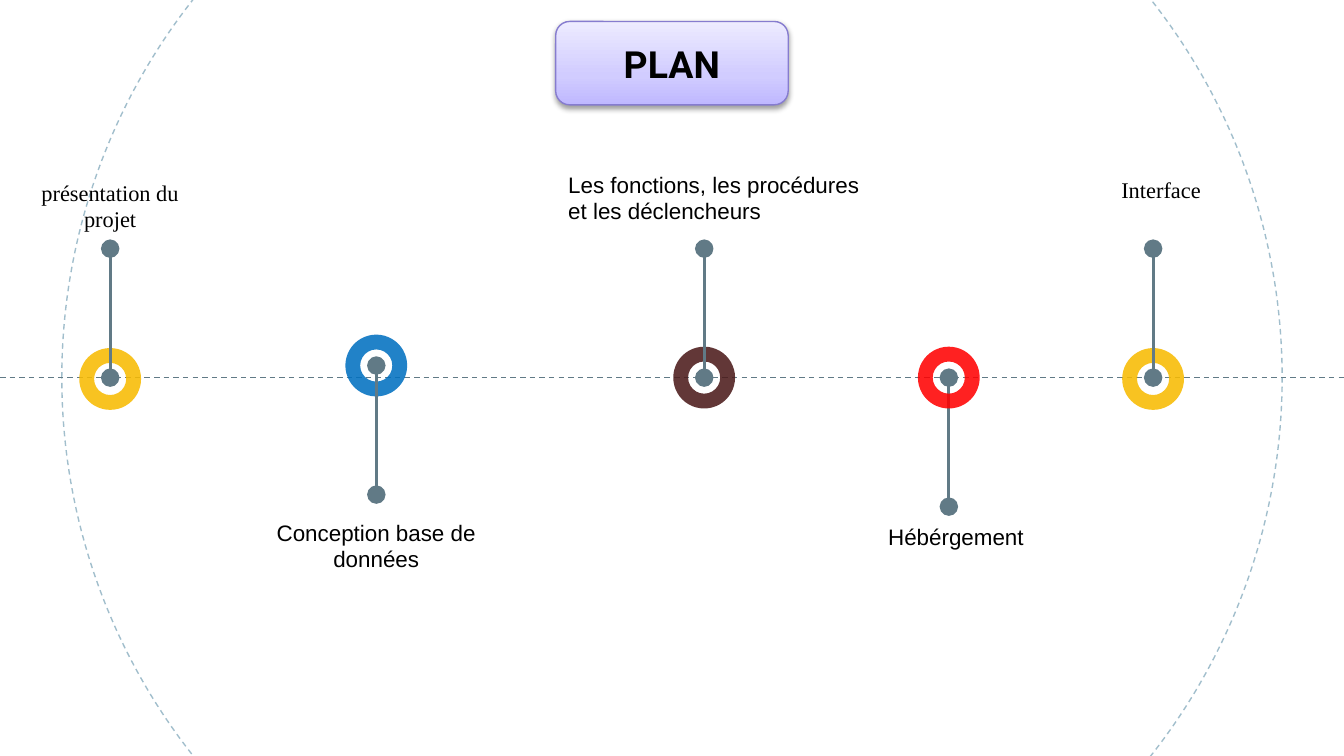
from lxml import etree
from pptx import Presentation
from pptx.dml.color import RGBColor
from pptx.enum.dml import MSO_LINE
from pptx.enum.shapes import MSO_CONNECTOR, MSO_SHAPE
from pptx.enum.text import MSO_ANCHOR, PP_ALIGN
from pptx.oxml.ns import qn
from pptx.util import Inches, Pt

DASH = MSO_LINE.DASH
STRAIGHT = MSO_CONNECTOR.STRAIGHT
OVAL, DONUT, ROUNDED = MSO_SHAPE.OVAL, MSO_SHAPE.DONUT, MSO_SHAPE.ROUNDED_RECTANGLE
LEFT, CENTER = PP_ALIGN.LEFT, PP_ALIGN.CENTER
TOP, MIDDLE = MSO_ANCHOR.TOP, MSO_ANCHOR.MIDDLE

W = 10
H = W * 9 / 16
AXIS = 2.81
RING, STEM = 0.46, 0.96
ORBIT = 9.08
SLATE = "617A86"
SERIF, SANS = "Times New Roman", "Arial"

TITLE = "PLAN"
TITLE_STOPS = [(0, "BFB8FF"), (35, "D1CCFF"), (100, "EDEBFF")]
# direction: -1 stem goes up, 1 stem goes down
STEPS = [
    dict(text="présentation du projet", x=0.82, ring_y=2.82, stem_y=AXIS, direction=-1,
         color="F8BB00", box=(0.19, 1.23, 1.26, 0.48), font=SERIF, align=CENTER),
    dict(text="Conception base de données", x=2.8, ring_y=2.72, stem_y=2.72, direction=1,
         color="0070C0", box=(1.9, 3.76, 1.8, 0.6), font=SANS, align=CENTER),
    dict(text="Les fonctions, les procédures et les déclencheurs", x=5.24, ring_y=AXIS,
         stem_y=AXIS, direction=-1, color="4B1A1A", box=(4.13, 1.17, 2.44, 0.55),
         font=SANS, align=LEFT),
    dict(text="Hébérgement", x=7.06, ring_y=AXIS, stem_y=AXIS, direction=1,
         color="FF0000", box=(6.51, 3.79, 1.32, 0.58), font=SANS, align=LEFT,
         ring_in_front=True),
    dict(text="Interface", x=8.58, ring_y=2.82, stem_y=AXIS, direction=-1,
         color="F8BB00", box=(8.01, 1.21, 1.26, 0.48), font=SERIF, align=CENTER),
]


def rgb(value):
    return RGBColor.from_string(value)


def sub(parent, tag, **attrs):
    """Append a DrawingML element whose attributes are given as keywords."""
    return etree.SubElement(parent, qn("a:" + tag), {k: str(v) for k, v in attrs.items()})


def add_shape(slide, kind, left, top, width, height):
    sp = slide.shapes.add_shape(kind, *map(Inches, (left, top, width, height)))
    sp.shadow.inherit = False
    return sp


def style_line(line, color, width, dash=None):
    line.color.rgb = rgb(color)
    line.width = Pt(width)
    if dash:
        line.dash_style = dash


def add_line(slide, x1, y1, x2, y2, width, dash=None, ends=None):
    cx = slide.shapes.add_connector(STRAIGHT, *map(Inches, (x1, y1, x2, y2)))
    style_line(cx.line, SLATE, width, dash)
    if ends:
        ln = cx.line._get_or_add_ln()
        for tag in ("headEnd", "tailEnd"):
            sub(ln, tag, type=ends, w="lg", len="lg")
    sub(cx._element.spPr, "effectLst")


def write(sp, text, font=SANS, size=12, bold=False, align=LEFT, anchor=TOP):
    tf = sp.text_frame
    tf.word_wrap = True
    tf.vertical_anchor = anchor
    tf.margin_left = tf.margin_right = tf.margin_top = tf.margin_bottom = Inches(0.1)
    p = tf.paragraphs[0]
    p.alignment = align
    r = p.add_run()
    r.text = text
    r.font.name, r.font.size, r.font.bold = font, Pt(size), bold
    r.font.color.rgb = rgb("000000")


def add_ring(slide, x, y, color):
    sp = add_shape(slide, DONUT, x - RING / 2, y - RING / 2, RING, RING)
    sp.adjustments[0] = 0.24
    sp.fill.solid()
    sp.fill.fore_color.rgb = rgb(color)
    sub(sp._element.spPr.find(".//" + qn("a:srgbClr")), "alpha", val=87000)
    sp.line.fill.background()


def add_step(slide, step):
    x, y = step["x"], step["stem_y"]
    stem = (x, y, x, y + step["direction"] * STEM)
    in_front = step.get("ring_in_front", False)
    if not in_front:
        add_ring(slide, x, step["ring_y"], step["color"])
    add_line(slide, *stem, 1.5, ends="oval")
    if in_front:
        add_ring(slide, x, step["ring_y"], step["color"])
    label = slide.shapes.add_textbox(*map(Inches, step["box"]))
    write(label, step["text"], font=step["font"], align=step["align"])


def add_title(slide):
    width, height = 1.73, 0.62
    sp = add_shape(slide, ROUNDED, (W - width) / 2, 0.16, width, height)
    sp.fill.gradient()
    sp.fill.gradient_angle = 90
    spPr = sp._element.spPr
    stops = spPr.find(".//" + qn("a:gsLst"))
    for gs in list(stops):
        stops.remove(gs)
    for pos, color in TITLE_STOPS:
        sub(sub(stops, "gs", pos=pos * 1000), "srgbClr", val=color)
    style_line(sp.line, "867CCF", 0.75)
    shadow = sub(spPr.find(qn("a:effectLst")), "outerShdw", blurRad=Pt(3.1),
                 dist=Pt(1.6), dir=90 * 60000, rotWithShape=0)
    sub(sub(shadow, "srgbClr", val="000000"), "alpha", val=38000)
    write(sp, TITLE, font="Roboto", size=20, bold=True, align=CENTER, anchor=MIDDLE)


def main():
    prs = Presentation()
    prs.slide_width, prs.slide_height = Inches(W), Inches(H)
    slide = prs.slides.add_slide(prs.slide_layouts[6])

    orbit = add_shape(slide, OVAL, (W - ORBIT) / 2, AXIS - ORBIT / 2, ORBIT, ORBIT)
    orbit.fill.background()
    style_line(orbit.line, "A1BECC", 0.75, DASH)
    add_line(slide, 0, AXIS, W, AXIS, 0.75, dash=DASH)
    for step in STEPS:
        add_step(slide, step)
    add_title(slide)
    prs.save("out.pptx")


if __name__ == "__main__":
    main()
